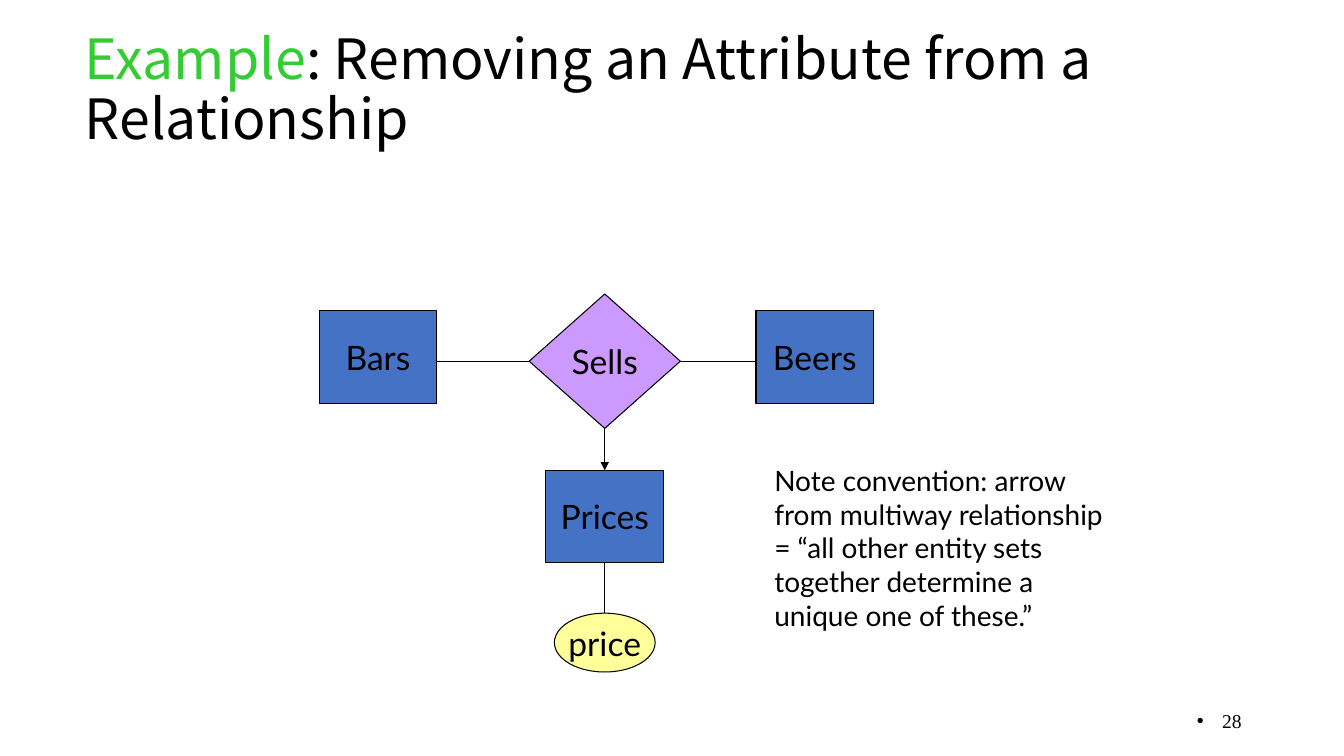
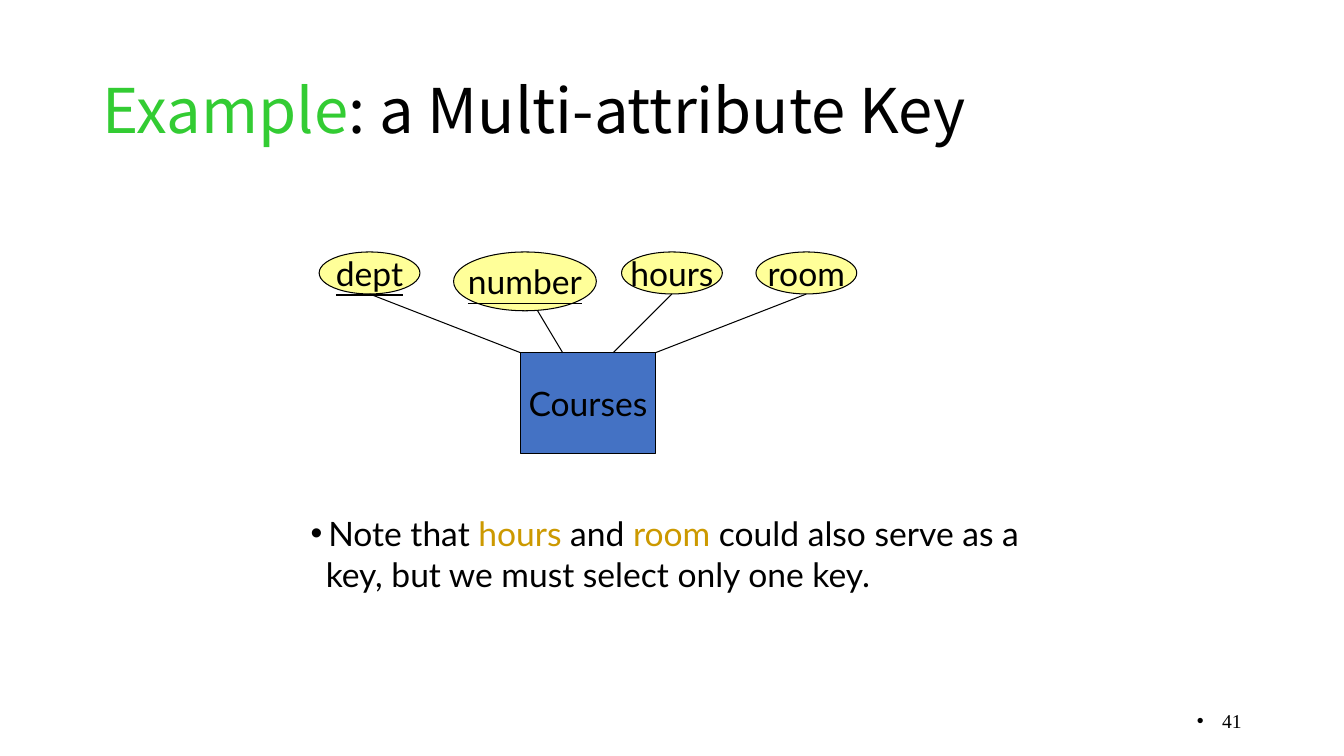
from lxml.etree import SubElement
from pptx import Presentation
from pptx.dml.color import RGBColor
from pptx.enum.shapes import MSO_CONNECTOR as LINE, MSO_SHAPE as SHAPE
from pptx.enum.text import MSO_ANCHOR as ANCHOR, MSO_AUTO_SIZE as FIT, PP_ALIGN as ALIGN
from pptx.oxml.ns import qn
from pptx.util import Inches, Pt

# The slide is a grid of 160 by 90 cells, twelve to the inch.
COLS, ROWS = 160, 90
BODY, HEAD, SERIF = "Lato", "Noto Sans CJK SC", "Times New Roman"
BLACK, GREEN, GOLD = "000000", "33CC33", "CC9900"
KINDS = {
    "entity": (SHAPE.RECTANGLE, "4472C4"),
    "relationship": (SHAPE.DIAMOND, "CC99FF"),
    "attribute": (SHAPE.OVAL, "FFFF99"),
}
TOP, LEFT, BOTTOM, RIGHT = range(4)

# Nodes: name, kind, box, is key. Links: from, to, arrow;
# an end is either (node, side) or a grid point given as two numbers.
# Notes: box, size, paragraphs as (runs, indent in cells, bullet).
SLIDES = [
    {
        "number": "28",
        "title": ": Removing an Attribute from a Relationship",
        "title_box": (8.9, 3.4, 149.3, 15),
        "title_size": 39.6,
        "nodes": [
            ("Bars", "entity", (38, 37, 14, 11), False),
            ("Beers", "entity", (90, 37, 14, 11), False),
            ("Sells", "relationship", (63, 35, 18, 16), False),
            ("price", "attribute", (66, 73, 12, 7), False),
            ("Prices", "entity", (65, 56, 14, 11), False),
        ],
        "links": [
            (("Sells", LEFT), (52, 43), False),
            (("Sells", RIGHT), (90, 43), False),
            (("Sells", BOTTOM), ("Prices", TOP), True),
            (("Prices", BOTTOM), ("price", TOP), False),
        ],
        "note_box": (91, 54.6, 43.2, 21.2),
        "note_size": 20,
        "note": [([(line, BLACK)], 0, False) for line in (
            "Note convention: arrow",
            "from multiway relationship",
            "= “all other entity sets",
            "together determine a",
            "unique one of these.”",
        )],
    },
    {
        "number": "41",
        "title": ": a Multi-attribute Key",
        "title_box": (11, 4.8, 138, 17.4),
        "title_size": 44,
        "nodes": [
            ("Courses", "entity", (62, 42, 16, 12), False),
            ("dept", "attribute", (38, 30, 12, 5), True),
            ("number", "attribute", (54, 30, 17, 7), True),
            ("hours", "attribute", (74, 30, 12, 5), False),
            ("room", "attribute", (90, 30, 12, 5), False),
        ],
        "links": [
            ((44, 35), (62, 42), False),
            ((64, 37), (67, 42), False),
            ((80, 35), (73, 42), False),
            ((96, 35), (78, 42), False),
        ],
        "note_box": (35.8, 60.5, 89.4, 10.9),
        "note_size": 24,
        "note": [
            ([("Note that ", BLACK), ("hours", GOLD), (" and ", BLACK), ("room", GOLD),
              (" could also serve as a", BLACK)], 2.1, True),
            ([("key, but we must select only one key.", BLACK)], 1.8, False),
        ],
    },
]


def cells(*counts):
    return [Inches(n / 12) for n in counts]


def rgb(value):
    return RGBColor.from_string(value)


def add_run(p, text, size=24, font=BODY, color=BLACK, underline=None):
    r = p.add_run()
    r.text = text
    r.font.size, r.font.name, r.font.underline = Pt(size), font, underline
    r.font.color.rgb = rgb(color)


def indent(p, width, bullet):
    """Indent a paragraph by cells, hanging a bullet in the gap if asked."""
    pPr = p._p.get_or_add_pPr()
    margin = cells(width)[0]
    pPr.set("marL", str(margin))
    pPr.set("indent", str(-margin if bullet else 0))
    if bullet:
        SubElement(pPr, qn("a:buFont"), typeface="Arial")
        SubElement(pPr, qn("a:buChar"), char="•")


def add_title(s, text, box, size):
    sp = s.shapes.title
    sp.left, sp.top, sp.width, sp.height = cells(*box)
    tf = sp.text_frame
    tf.auto_size, tf.word_wrap, tf.vertical_anchor = FIT.NONE, True, ANCHOR.MIDDLE
    p = tf.paragraphs[0]
    p.alignment, p.line_spacing = ALIGN.LEFT, 0.9
    add_run(p, "Example", size, HEAD, GREEN)
    add_run(p, text, size, HEAD)


def add_text(s, box, paragraphs, size, font=BODY, align=ALIGN.LEFT, anchor=ANCHOR.TOP):
    tf = s.shapes.add_textbox(*cells(*box)).text_frame
    tf.word_wrap, tf.vertical_anchor = True, anchor
    for i, (runs, width, bullet) in enumerate(paragraphs):
        p = tf.add_paragraph() if i else tf.paragraphs[0]
        p.alignment = align
        indent(p, width, bullet)
        for text, color in runs:
            add_run(p, text, size, font, color)


def add_node(s, name, kind, box, is_key):
    preset, fill = KINDS[kind]
    sp = s.shapes.add_shape(preset, *cells(*box))
    sp.shadow.inherit = False
    sp.fill.solid()
    sp.fill.fore_color.rgb = rgb(fill)
    sp.line.color.rgb, sp.line.width = rgb(BLACK), Pt(0.75)
    tf = sp.text_frame
    tf.word_wrap, tf.vertical_anchor = False, ANCHOR.MIDDLE
    p = tf.paragraphs[0]
    p.alignment = ALIGN.CENTER
    add_run(p, name, underline=is_key or None)
    return sp


def add_link(s, nodes, start, end, arrow):
    def is_node(point):
        return point[0] in nodes

    points = [(0, 0) if is_node(point) else point for point in (start, end)]
    line = s.shapes.add_connector(LINE.STRAIGHT, *cells(*points[0], *points[1]))
    for point, connect in ((start, line.begin_connect), (end, line.end_connect)):
        if is_node(point):
            connect(nodes[point[0]], point[1])
    line.line.color.rgb, line.line.width = rgb(BLACK), Pt(0.75)
    if arrow:
        SubElement(line.line._get_or_add_ln(), qn("a:tailEnd"), type="triangle")
    SubElement(line._element.spPr, qn("a:effectLst"))


def main():
    prs = Presentation()
    prs.slide_width, prs.slide_height = cells(COLS, ROWS)
    title_only = prs.slide_layouts[5]
    for d in SLIDES:
        s = prs.slides.add_slide(title_only)
        add_title(s, d["title"], d["title_box"], d["title_size"])
        add_text(s, (113, 83.4, 36, 4.8), [([(d["number"], BLACK)], 3, True)], 14,
                 font=SERIF, align=ALIGN.RIGHT, anchor=ANCHOR.MIDDLE)
        nodes = {node[0]: add_node(s, *node) for node in d["nodes"]}
        for link in d["links"]:
            add_link(s, nodes, *link)
        add_text(s, d["note_box"], d["note"], d["note_size"])
    prs.save("out.pptx")


if __name__ == "__main__":
    main()
